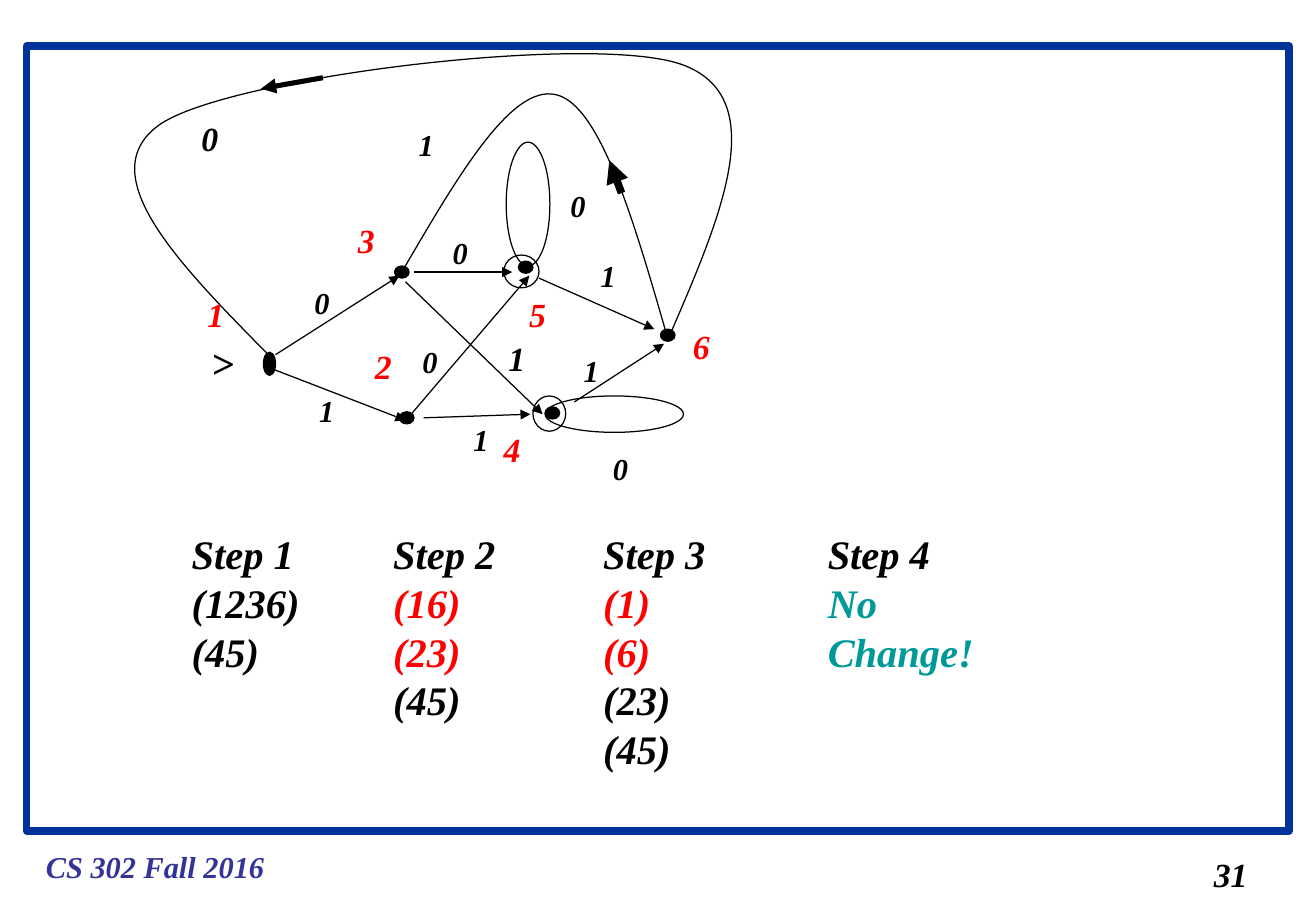
from lxml import etree
from pptx import Presentation
from pptx import util as u
from pptx.dml import color
from pptx.enum import shapes, text
from pptx.oxml import ns

FONT = "Times New Roman"
BLACK, RED, TEAL = "000000", "FF0000", "009999"
NAVY, INDIGO = "003399", "333399"

# Automaton: dots, accepting rings and self loops (left, top, width, height)
DOT = (0.12, 0.1)
START = (2.17, 2.9, 0.1, 0.19)
DOTS = [(3.29, 3.39), (3.25, 2.19), (4.49, 3.35), (4.27, 2.15), (5.44, 2.71)]
RINGS = [(4.15, 2.1, 0.29, 0.27), (4.39, 3.26, 0.27, 0.29)]
LOOPS = [(4.17, 1.17, 0.36, 1.02), (4.49, 3.26, 1.14, 0.3)]

# Straight transitions (from x, y, to x, y)
EDGES = [
    (2.27, 2.92, 3.29, 2.27), (2.25, 3.04, 3.34, 3.46),
    (3.34, 2.32, 4.47, 3.41), (3.37, 3.43, 4.36, 2.27),
    (3.41, 2.24, 4.22, 2.24), (3.49, 3.44, 4.37, 3.41),
    (4.44, 2.29, 5.39, 2.71), (4.73, 3.31, 5.47, 2.83),
]

# Curved transitions: start point, then three points for each Bezier part
CURVES = [
    [(5.49, 2.75), (5.22, 1.81), (4.94, 0.86), (4.58, 0.78),
     (4.21, 0.69), (3.76, 1.47), (3.31, 2.24)],
    [(5.53, 2.73), (5.94, 1.78), (6.35, 0.82), (5.64, 0.54),
     (4.94, 0.26), (1.87, 0.63), (1.31, 1.03),
     (0.74, 1.44), (1.49, 2.19), (2.24, 2.95)],
]
MARKS = [((5.12, 1.59, 5.02, 1.32), 4.5), ((2.66, 0.64, 2.15, 0.73), 3)]

# Labels (left, top) by symbol; state numbers run from 1
SMALL = {
    "0": [(2.49, 2.29), (3.63, 1.88), (3.38, 2.78), (4.6, 1.49), (4.95, 3.66)],
    "1": [(2.53, 3.18), (3.8, 3.42), (4.85, 2.07), (4.71, 2.85), (3.35, 0.99)],
}
LARGE = {"0": (1.56, 0.92), "1": (4.09, 2.73)}
STATES = [(1.61, 2.37), (2.99, 2.8), (2.85, 1.76),
          (4.05, 3.48), (4.26, 2.37), (5.61, 2.63)]

# Refinement steps: left, width, lines with colours
STEPS = [
    (1.48, 1.09, [("(1236)", BLACK), ("(45)", BLACK)]),
    (3.14, 1.26, [("(16)", RED), ("(23)", RED), ("(45)", BLACK)]),
    (4.87, 1.38, [("(1)", RED), ("(6)", RED), ("(23)", BLACK), ("(45)", BLACK)]),
    (6.72, 1.89, [("No Change!", TEAL)]),
]


def rgb(code):
    return color.RGBColor.from_string(code)


def style(line, tint, width):
    line.color.rgb = rgb(tint)
    line.width = u.Pt(width)


def write(slide, lines, left, top, width, height, size=18, tint=BLACK):
    """Add a text box; lines is a string or a list of (text, colour)."""
    box = slide.shapes.add_textbox(*map(u.Inches, (left, top, width, height)))
    frame = box.text_frame
    frame.word_wrap = False
    frame.auto_size = text.MSO_AUTO_SIZE.SHAPE_TO_FIT_TEXT
    if isinstance(lines, str):
        lines = [(lines, tint)]
    for i, (words, shade) in enumerate(lines):
        para = frame.paragraphs[0] if i == 0 else frame.add_paragraph()
        run = para.add_run()
        run.text = words
        font = run.font
        font.name, font.size = FONT, u.Pt(size)
        font.bold = font.italic = True
        font.color.rgb = rgb(shade)


def draw(slide, kind, spot, fill=None, tint=BLACK, width=0.75):
    """Add an outlined preset shape, filled if a colour is given."""
    shape = slide.shapes.add_shape(kind, *map(u.Inches, spot))
    shape.shadow.inherit = False
    if fill:
        shape.fill.solid()
        shape.fill.fore_color.rgb = rgb(fill)
    else:
        shape.fill.background()
    style(shape.line, tint, width)


def arrow(slide, ends, width=0.75):
    line = slide.shapes.add_connector(
        shapes.MSO_CONNECTOR.STRAIGHT, *map(u.Inches, ends))
    style(line.line, BLACK, width)
    etree.SubElement(line.line._get_or_add_ln(), ns.qn("a:tailEnd"),
                     type="triangle")
    etree.SubElement(line._element.spPr, ns.qn("a:effectLst"))


def curve(slide, points):
    """Add an open outline and turn each three segments into one Bezier."""
    spots = [(u.Inches(x), u.Inches(y)) for x, y in points]
    form = slide.shapes.build_freeform(*spots[0])
    form.add_line_segments(spots[1:], close=False)
    shape = form.convert_to_shape()
    shape.shadow.inherit = False
    shape.fill.background()
    style(shape.line, BLACK, 0.75)
    parts = list(shape._element.iter(ns.qn("a:lnTo")))
    for i in range(0, len(parts), 3):
        bend = etree.SubElement(parts[i].getparent(), ns.qn("a:cubicBezTo"))
        for part in parts[i:i + 3]:
            bend.append(part[0])
            part.getparent().remove(part)


def graph(slide):
    oval = shapes.MSO_SHAPE.OVAL
    for spot in [START] + [dot + DOT for dot in DOTS]:
        draw(slide, oval, spot, fill=BLACK)
    for spot in RINGS + LOOPS:
        draw(slide, oval, spot)
    for ends in EDGES:
        arrow(slide, ends)
    for points in CURVES:
        curve(slide, points)
    for ends, width in MARKS:
        arrow(slide, ends, width)


def label(slide):
    for sign, spots in SMALL.items():
        for spot in spots:
            write(slide, sign, *spot, 0.32, 0.4)
    for sign, spot in LARGE.items():
        write(slide, sign, *spot, 0.34, 0.44, size=20)
    for i, spot in enumerate(STATES, 1):
        write(slide, str(i), *spot, 0.34, 0.44, size=20, tint=RED)
    write(slide, ">", 1.64, 2.73, 0.39, 0.5, size=24)


def main():
    deck = Presentation()
    deck.slide_width, deck.slide_height = u.Inches(10.84), u.Inches(7.5)
    slide = deck.slides.add_slide(deck.slide_layouts[6])

    # Frame and footer
    draw(slide, shapes.MSO_SHAPE.RECTANGLE, (0.22, 0.38, 10.4, 6.46),
         tint=NAVY, width=4.5)
    write(slide, "CS 302 Fall 2016", 0.28, 6.93, 2, 0.4, tint=INDIGO)
    write(slide, "31", 9.9, 6.98, 0.48, 0.44, size=20)

    # Automaton
    graph(slide)
    label(slide)

    # Steps
    for i, (left, width, rows) in enumerate(STEPS, 1):
        lines = [(f"Step {i}", BLACK)] + rows
        write(slide, lines, left, 4.31, width, 0.1 + 0.4 * len(lines), size=24)

    deck.save("out.pptx")


if __name__ == "__main__":
    main()
